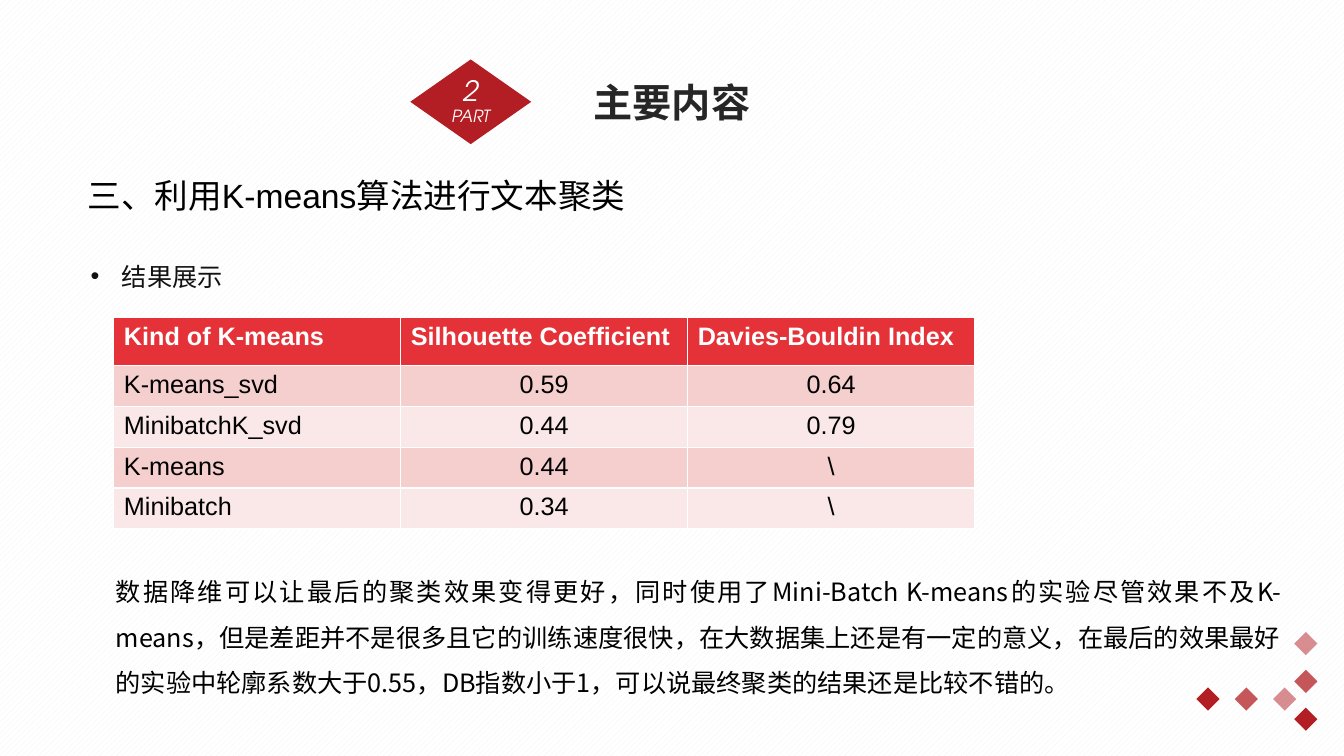
"""Builds the slide that shows the K-means clustering results."""
from dataclasses import dataclass

from lxml import etree
from pptx import Presentation
from pptx.dml.color import RGBColor
from pptx.enum.dml import MSO_PATTERN
from pptx.enum.shapes import MSO_SHAPE
from pptx.enum.text import MSO_ANCHOR, MSO_AUTO_SIZE, PP_ALIGN
from pptx.oxml.ns import qn
from pptx.util import Inches, Pt

DIAMOND = MSO_SHAPE.DIAMOND
HATCH = MSO_PATTERN.WIDE_UPWARD_DIAGONAL
TOP, MIDDLE = MSO_ANCHOR.TOP, MSO_ANCHOR.MIDDLE
GROW = MSO_AUTO_SIZE.SHAPE_TO_FIT_TEXT
LEFT, CENTER, JUSTIFY = PP_ALIGN.LEFT, PP_ALIGN.CENTER, PP_ALIGN.JUSTIFY

WIDE, HIGH = Inches(13.33), Inches(7.5)
COLS, ROWS = 160, 90


@dataclass(frozen=True)
class Theme:
    red: str = "B21E23"
    head: str = "E53238"
    bands: tuple[str, str] = ("F5CECE", "FAE8E8")
    white: str = "FFFFFF"
    black: str = "000000"
    ink: str = "121212"
    dark: str = "262626"
    hatch: str = "F2F2F2"
    large: int = 28
    medium: int = 24
    number: int = 20
    normal: int = 18
    small: int = 12
    show: str = "TeX Gyre Adventor"
    plain: str = "Arial"
    list: str = "Lato"
    asian: str = "Noto Sans CJK SC"


THEME = Theme()


@dataclass(frozen=True)
class Box:
    col: float
    row: float
    cols: float
    rows: float

    def place(self) -> tuple[int, int, int, int]:
        return (across(self.col), down(self.row),
                across(self.cols), down(self.rows))


@dataclass(frozen=True)
class Style:
    size: int
    font: str
    color: str
    bold: bool = False
    italic: bool = False
    align: PP_ALIGN = LEFT
    lines: float = 1.0


@dataclass(frozen=True)
class Trail:
    col: float
    row: float
    right: float
    down: float


TITLE = Style(THEME.large, THEME.show, THEME.dark, bold=True, align=CENTER)
PART = Style(THEME.small, THEME.show, THEME.white, italic=True, align=CENTER, lines=0.9)
NUMBER = Style(THEME.number, THEME.show, THEME.white, italic=True, align=CENTER, lines=0.9)
TOPIC = Style(THEME.medium, THEME.plain, THEME.black)
POINT = Style(THEME.normal, THEME.list, THEME.ink)
HEAD = Style(THEME.normal, THEME.plain, THEME.white, bold=True)
NAME = Style(THEME.normal, THEME.plain, THEME.black)
SCORE = Style(THEME.normal, THEME.plain, THEME.black, align=CENTER)
PROSE = Style(THEME.normal, THEME.asian, THEME.black, align=JUSTIFY, lines=1.5)

GEM = 2.76
FADES = (50, 75, 100)
TRAILS = (Trail(154.08, 75.24, 0, 4.5), Trail(151.56, 81.84, -4.56, 0))

HEAD_ROWS, BODY_ROWS = 5.68, 4.88
SCORES = (
    ("Kind of K-means", "Silhouette Coefficient", "Davies-Bouldin Index"),
    ("K-means_svd", "0.59", "0.64"),
    ("MinibatchK_svd", "0.44", "0.79"),
    ("K-means", "0.44", "\\"),
    ("Minibatch", "0.34", "\\"),
)
RESULT = (
    "数据降维可以让最后的聚类效果变得更好，同时使用了Mini-Batch K-means的实验尽管效果不及"
    "K-means，但是差距并不是很多且它的训练速度很快，在大数据集上还是有一定的意义，"
    "在最后的效果最好的实验中轮廓系数大于0.55，DB指数小于1，可以说最终聚类的结果还是比较不错的。"
)


def across(cols: float) -> int:
    return round(WIDE * cols / COLS)


def down(rows: float) -> int:
    return round(HIGH * rows / ROWS)


def dress(para, style: Style) -> None:
    para.alignment = style.align
    para.line_spacing = style.lines
    para.space_before = Pt(0)
    for run in para.runs:
        font = run.font
        font.size, font.name = Pt(style.size), style.font
        font.bold, font.italic = style.bold, style.italic
        font.color.rgb = RGBColor.from_string(style.color)
        asian = etree.SubElement(font._element, qn("a:ea"))
        asian.set("typeface", THEME.asian)


def write(shape, box: Box, text: str, style: Style) -> None:
    shape.left, shape.top, shape.width, shape.height = box.place()
    frame = shape.text_frame
    frame.text = text
    frame.word_wrap = True
    frame.auto_size = GROW
    frame.vertical_anchor = TOP
    dress(frame.paragraphs[0], style)


def add_note(slide, box: Box, text: str, style: Style) -> None:
    write(slide.shapes.add_textbox(*box.place()), box, text, style)


def add_gem(slide, box: Box, fade: int = 100):
    gem = slide.shapes.add_shape(DIAMOND, *box.place())
    gem.shadow.inherit = False
    gem.fill.solid()
    gem.fill.fore_color.rgb = RGBColor.from_string(THEME.red)
    gem.line.fill.background()
    if fade < 100:
        color = gem._element.spPr.find(".//" + qn("a:srgbClr"))
        etree.SubElement(color, qn("a:alpha")).set("val", str(fade * 1000))
    return gem


def add_trail(slide, trail: Trail) -> None:
    for step, fade in enumerate(FADES):
        box = Box(trail.col + step * trail.right, trail.row + step * trail.down, GEM, GEM)
        add_gem(slide, box, fade)


def add_badge(slide, box: Box) -> None:
    frame = add_gem(slide, box).text_frame
    frame.margin_left = frame.margin_right = 0
    frame.margin_top = frame.margin_bottom = 0
    frame.word_wrap = False
    frame.vertical_anchor = MIDDLE
    frame.text = "2\nPART"
    for para, style in zip(frame.paragraphs, (NUMBER, PART)):
        dress(para, style)


def add_bullet(para) -> None:
    props = para._p.get_or_add_pPr()
    indent = Inches(0.31)
    props.set("marL", str(indent))
    props.set("indent", str(-indent))
    etree.SubElement(props, qn("a:buFont")).set("typeface", THEME.plain)
    etree.SubElement(props, qn("a:buChar")).set("char", "•")


def add_scores(slide, box: Box) -> None:
    table = slide.shapes.add_table(len(SCORES), len(SCORES[0]), *box.place()).table
    for col in table.columns:
        col.width = across(box.cols / len(SCORES[0]))
    for i, texts in enumerate(SCORES):
        table.rows[i].height = down(BODY_ROWS if i else HEAD_ROWS)
        for j, text in enumerate(texts):
            cell = table.cell(i, j)
            cell.text = text
            cell.fill.solid()
            tint = THEME.bands[(i - 1) % 2] if i else THEME.head
            cell.fill.fore_color.rgb = RGBColor.from_string(tint)
            style = HEAD if i == 0 else SCORE if j else NAME
            dress(cell.text_frame.paragraphs[0], style)


def main() -> None:
    deck = Presentation()
    deck.slide_width, deck.slide_height = WIDE, HIGH
    slide = deck.slides.add_slide(deck.slide_layouts[1])
    back = slide.background.fill
    back.patterned()
    back.pattern = HATCH
    back.fore_color.rgb = RGBColor.from_string(THEME.hatch)
    back.back_color.rgb = RGBColor.from_string(THEME.white)

    for trail in TRAILS:
        add_trail(slide, trail)
    write(slide.shapes.title, Box(56.88, 8.76, 46.2, 6.84), "主要内容", TITLE)
    add_badge(slide, Box(48.84, 7.08, 14.4, 10.08))
    add_note(slide, Box(9.24, 20.28, 147.84, 6), "三、利用K-means算法进行文本聚类", TOPIC)
    body = slide.placeholders[1]
    write(body, Box(9.6, 30.48, 140.76, 4.8), "结果展示", POINT)
    add_bullet(body.text_frame.paragraphs[0])
    add_scores(slide, Box(13.56, 37.8, 102.48, HEAD_ROWS + 4 * BODY_ROWS))
    add_note(slide, Box(12.6, 66.24, 141.12, 16.92), RESULT, PROSE)
    deck.save("out.pptx")


if __name__ == "__main__":
    main()
